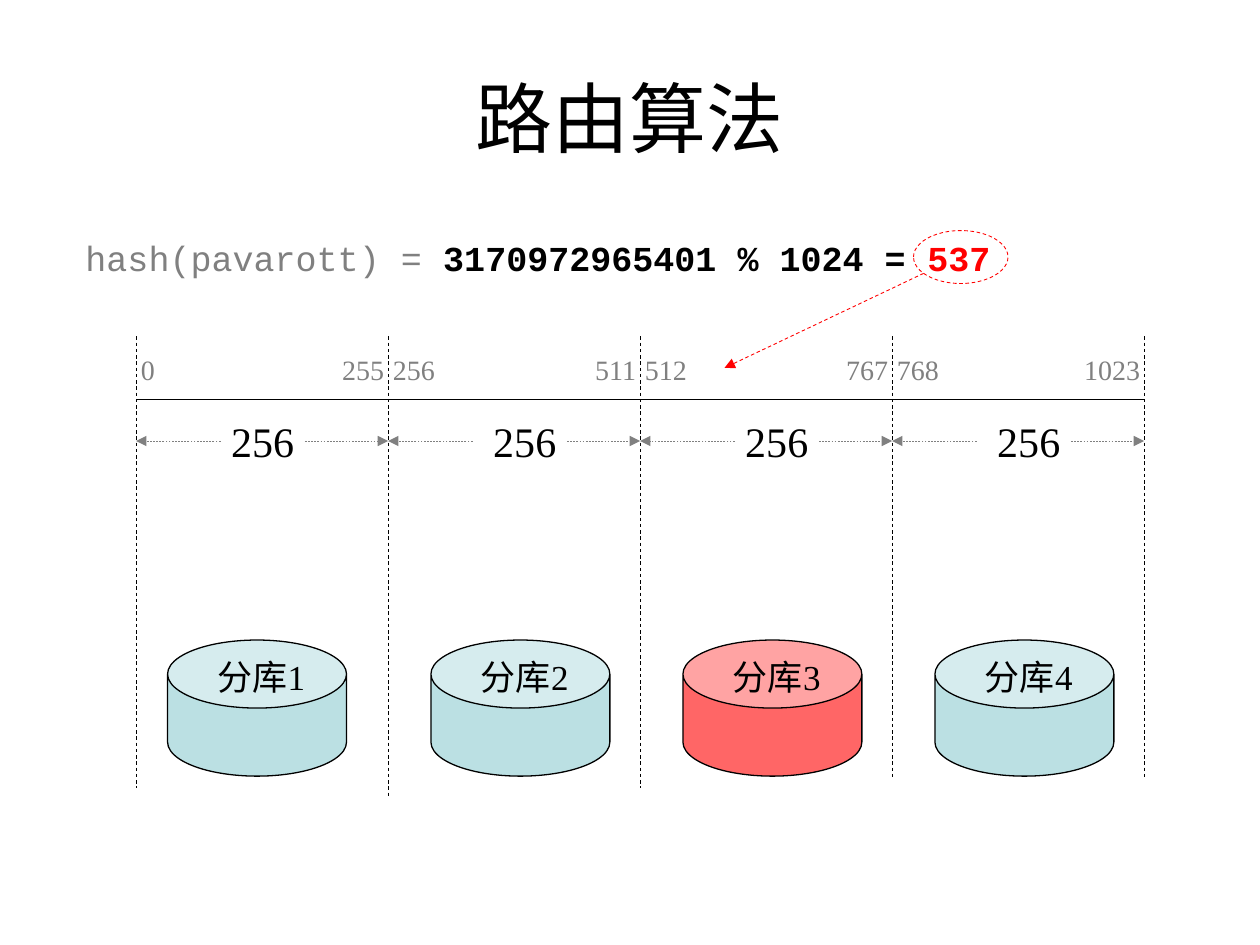
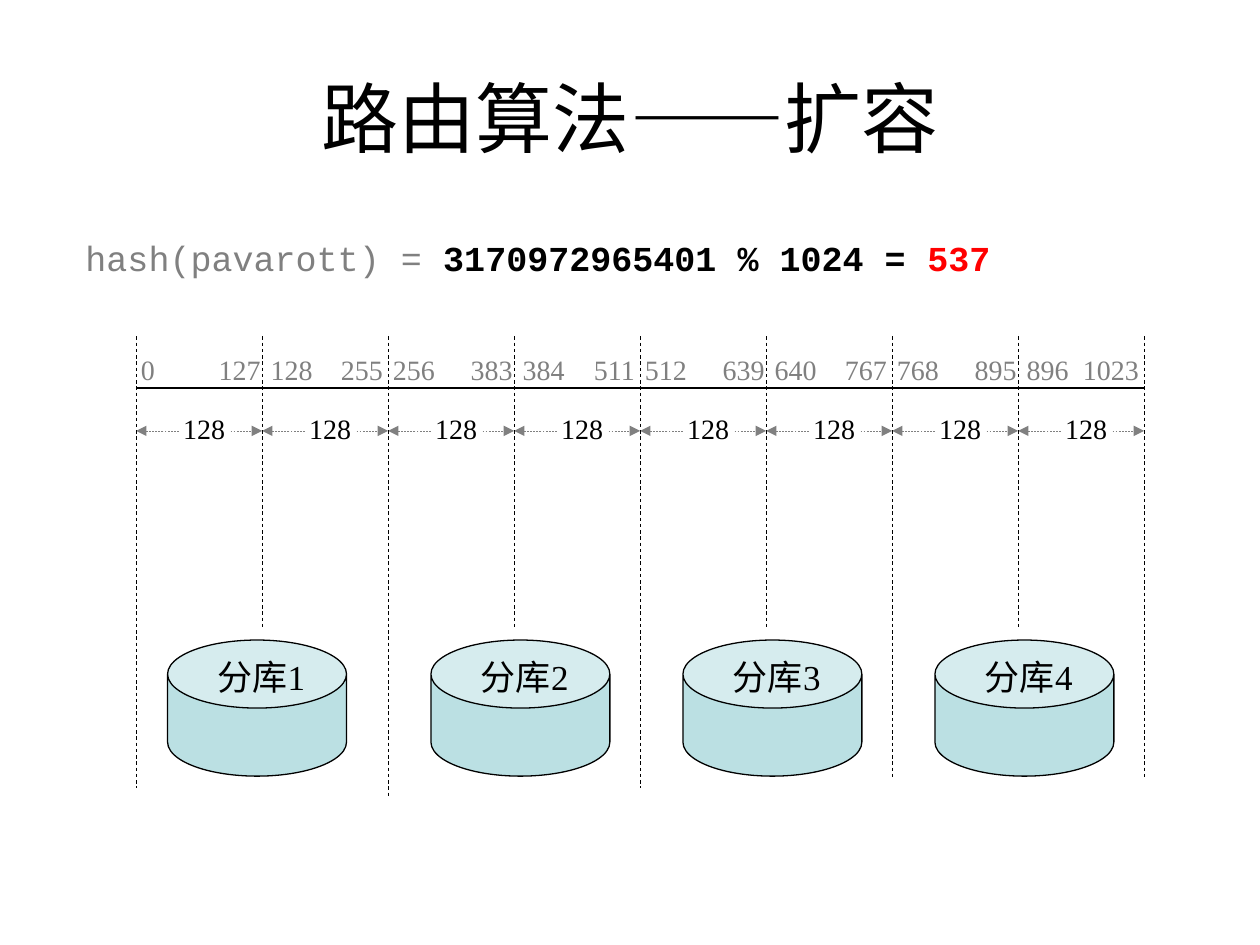
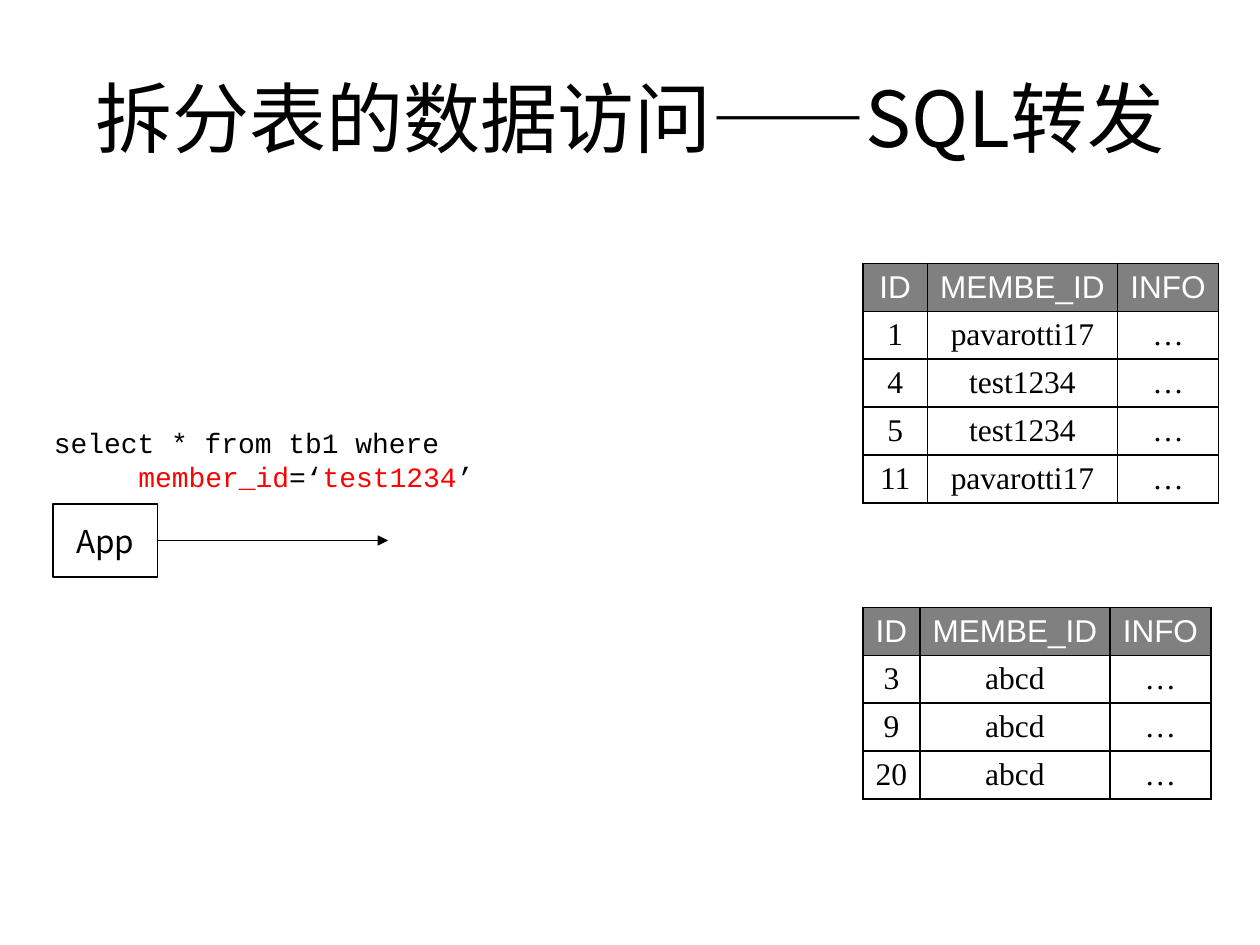
from pptx import Presentation
from pptx.dml.color import RGBColor
from pptx.enum import dml, shapes, text
from pptx.oxml import ns, xmlchemy
from pptx.util import Inches, Pt

COLORS = {"ink": "000000", "muted": "808080", "accent": "FF0000",
          "database": "BBE0E3", "paper": "FFFFFF"}
SERIF, SANS, MONO, CJK = "Times New Roman", "Arial", "Courier New", "Noto Sans CJK SC"
LEFT, CENTER = text.PP_ALIGN.LEFT, text.PP_ALIGN.CENTER
GROW, FIXED = text.MSO_AUTO_SIZE.SHAPE_TO_FIT_TEXT, text.MSO_AUTO_SIZE.NONE


def write(frame, *paragraphs, size=16, font=SERIF, color="ink", align=CENTER,
          fit=GROW, wrap=True, tabs=()):
    """Fill a frame; a paragraph is a string or a list of (text, overrides)."""
    frame.word_wrap = wrap
    if fit is not None:
        frame.auto_size = fit
    for index, content in enumerate(paragraphs):
        paragraph = frame.add_paragraph() if index else frame.paragraphs[0]
        paragraph.alignment = align
        if tabs:
            stops = xmlchemy.OxmlElement("a:tabLst")
            for position, side in tabs:
                stop = xmlchemy.OxmlElement("a:tab")
                stop.set("pos", str(Inches(position)))
                stop.set("algn", side)
                stops.append(stop)
            paragraph._p.get_or_add_pPr().append(stops)
        for words, style in [(content, {})] if isinstance(content, str) else content:
            run = paragraph.add_run()
            run.text = words
            run.font.size = Pt(size)
            run.font.name = style.get("font", font)
            run.font.bold = style.get("bold", False)
            run.font.color.rgb = RGBColor.from_string(COLORS[style.get("color", color)])
            east_asian = xmlchemy.OxmlElement("a:ea")
            east_asian.set("typeface", CJK)
            run.font._element.append(east_asian)


def draw_line(slide, x1, y1, x2, y2, color="ink", width=0.75, dashed=False, arrow=False):
    line = slide.shapes.add_connector(shapes.MSO_CONNECTOR.STRAIGHT,
                                      Inches(x1), Inches(y1), Inches(x2), Inches(y2))
    line.line.color.rgb = RGBColor.from_string(COLORS[color])
    line.line.width = Pt(width)
    if dashed:
        line.line.dash_style = dml.MSO_LINE.DASH
    if arrow:
        head = xmlchemy.OxmlElement("a:tailEnd")
        head.set("type", "triangle")
        line.line._get_or_add_ln().append(head)
    line._element.spPr.append(xmlchemy.OxmlElement("a:effectLst"))
    return line


prs = Presentation()
prs.slide_width, prs.slide_height = Inches(10), Inches(7.5)

# Titles
titles = [
    [("路由算法", {})],
    [("路由算法", {}), ("——", {"font": CJK}), ("扩容", {})],
    [("拆分表的数据访问——SQL转发", {"font": CJK})],
]
slides = []
for title in titles:
    slide = prs.slides.add_slide(prs.slide_layouts[5])
    heading = slide.shapes.title
    heading.left, heading.top = Inches(0.5), Inches(0.3)
    heading.width, heading.height = Inches(9), Inches(1.25)
    heading.text_frame.vertical_anchor = text.MSO_ANCHOR.MIDDLE
    write(heading.text_frame, title, size=44, font=SANS, fit=FIXED)
    slides.append(slide)
routing, expansion, forwarding = slides

# Hash ranges and their databases
AXIS_LEFT, SHARD_WIDTH, SHARDS, SLOTS = 1.08, 2, 4, 1024
database_lefts = [1.33, 3.42, 5.42, 7.42]
border_bottoms = [6.25, 6.33, 6.25, 6.17, 6.17]
routing_spans = [(1.67, 1.75), (3.75, 3.75), (5.75, 5.83), (7.75, 7.75)]
expansion_spans = [(1.33 + i, 1.42 + i) for i in range(8)]
# slide, axis top, arrow top, (label left, arrow start), label top, width, height, size,
# distance to right arrow, tab stops
diagrams = [
    (routing, 3.17, 3.5, routing_spans, 3.25, 0.83, 0.5, 24, 0.75, [(1.93, "r")]),
    (expansion, 3.08, 3.42, expansion_spans, 3.22, 0.58, 0.37, 16, 0.5,
     [(0.95, "r"), (1.03, "l"), (1.92, "r")]),
]
for (slide, axis_top, arrow_top, spans, label_top, label_width, label_height,
     label_size, right_offset, tabs) in diagrams:
    formula = slide.shapes.add_textbox(Inches(0.58), Inches(1.83), Inches(7.75), Inches(0.43))
    write(formula.text_frame,
          [("hash(pavarott) = ", {"color": "muted"}),
           ("3170972965401 % 1024 = ", {"bold": True}),
           ("537", {"bold": True, "color": "accent"})],
          size=20, font=MONO, align=LEFT)
    draw_line(slide, AXIS_LEFT, axis_top, AXIS_LEFT + SHARDS * SHARD_WIDTH, axis_top)

    slots = SLOTS // len(spans)
    per_shard = len(spans) // SHARDS
    for shard in range(SHARDS):
        firsts = [(shard * per_shard + part) * slots for part in range(per_shard)]
        limits = slide.shapes.add_textbox(Inches(1.02 + shard * SHARD_WIDTH), Inches(2.75),
                                          Inches(2.17), Inches(0.37))
        write(limits.text_frame, "\t".join(f"{first}\t{first + slots - 1}" for first in firsts),
              color="muted", align=LEFT, tabs=tabs)

    span_width = SHARD_WIDTH / per_shard
    for index, (label_left, arrow_start) in enumerate(spans):
        span_left = AXIS_LEFT + index * span_width
        count = slide.shapes.add_textbox(Inches(label_left), Inches(label_top),
                                         Inches(label_width), Inches(label_height))
        write(count.text_frame, str(slots), size=label_size)
        for start, end in [(arrow_start, span_left),
                           (label_left + right_offset, span_left + span_width)]:
            draw_line(slide, start, arrow_top, end, arrow_top, "muted", 0.25, True, True)
        if index % per_shard:
            draw_line(slide, span_left, 2.67, span_left, 5, width=0.5, dashed=True)

    for number, left in enumerate(database_lefts, start=1):
        database = slide.shapes.add_shape(shapes.MSO_SHAPE.CAN, Inches(left), Inches(5.08),
                                          Inches(1.42), Inches(1.08))
        database.adjustments[0] = 0.5
        database.shadow.inherit = False
        chosen = slide is routing and number == 3
        database.fill.solid()
        database.fill.fore_color.rgb = RGBColor.from_string(
            COLORS["accent" if chosen else "database"])
        if chosen:
            alpha = xmlchemy.OxmlElement("a:alpha")
            alpha.set("val", "60000")
            database._element.spPr.find(ns.qn("a:solidFill"))[0].append(alpha)
        database.line.color.rgb = RGBColor.from_string(COLORS["ink"])
        database.line.width = Pt(0.75)
        name = slide.shapes.add_textbox(Inches(left - 0.17), Inches(5.15),
                                        Inches(1.83), Inches(0.43))
        write(name.text_frame, f"分库{number}", size=20)

    for index, bottom in enumerate(border_bottoms):
        border = AXIS_LEFT + index * SHARD_WIDTH
        draw_line(slide, border, 2.67, border, bottom, width=0.5, dashed=True)

# Hash result pointing at its range
result_ring = routing.shapes.add_shape(shapes.MSO_SHAPE.OVAL, Inches(7.25), Inches(1.83),
                                       Inches(0.75), Inches(0.42))
result_ring.shadow.inherit = False
result_ring.fill.background()
result_ring.line.color.rgb = RGBColor.from_string(COLORS["accent"])
result_ring.line.width = Pt(0.5)
result_ring.line.dash_style = dml.MSO_LINE.DASH
draw_line(routing, 7.33, 2.17, 5.75, 2.92, "accent", 0.5, True, True)

# Split tables
header = ("ID", "MEMBE_ID", "INFO")
split_tables = [
    (2.09, 0.51, [("1", "pavarotti17"), ("4", "test1234"), ("5", "test1234"),
                  ("11", "pavarotti17")]),
    (4.82, 0.45, [("3", "abcd"), ("9", "abcd"), ("20", "abcd")]),
]
ROW_HEIGHT = 0.38
for top, id_width, records in split_tables:
    rows = [header] + [(*record, "…") for record in records]
    widths = [id_width, 1.51, 0.8]
    table = forwarding.shapes.add_table(len(rows), len(header), Inches(6.85), Inches(top),
                                        Inches(sum(widths)),
                                        Inches(ROW_HEIGHT * len(rows))).table
    table.first_row = table.horz_banding = False
    for column, width in zip(table.columns, widths):
        column.width = Inches(width)
    for r, row in enumerate(rows):
        for c, value in enumerate(row):
            cell = table.cell(r, c)
            cell.vertical_anchor = text.MSO_ANCHOR.MIDDLE
            for side in ("a:lnL", "a:lnR", "a:lnT", "a:lnB"):
                edge = xmlchemy.OxmlElement(side)
                edge.set("w", str(Pt(1)))
                paint = xmlchemy.OxmlElement("a:solidFill")
                tint = xmlchemy.OxmlElement("a:srgbClr")
                tint.set("val", COLORS["ink"])
                paint.append(tint)
                edge.append(paint)
                cell._tc.get_or_add_tcPr().append(edge)
            cell.fill.solid()
            cell.fill.fore_color.rgb = RGBColor.from_string(COLORS["paper" if r else "muted"])
            write(cell.text_frame, value, size=18, font=SERIF if r else SANS,
                  color="ink" if r else "paper", fit=None)

# Application and its query
app = forwarding.shapes.add_shape(shapes.MSO_SHAPE.RECTANGLE, Inches(0.42), Inches(4),
                                  Inches(0.83), Inches(0.58))
app.shadow.inherit = False
app.fill.background()
app.line.color.rgb = RGBColor.from_string(COLORS["ink"])
app.line.width = Pt(0.75)
app.text_frame.vertical_anchor = text.MSO_ANCHOR.MIDDLE
write(app.text_frame, "App", size=18, font=CJK, fit=FIXED, wrap=False)
request = draw_line(forwarding, 1.25, 4.29, 3.08, 4.29, arrow=True)
request.begin_connect(app, 3)

query = forwarding.shapes.add_textbox(Inches(0.33), Inches(3.33), Inches(3.83), Inches(0.64))
write(query.text_frame, "select * from tb1 where",
      [("member_id", {"color": "accent"}), ("=‘", {}),
       ("test1234", {"color": "accent"}), ("’", {})],
      font=MONO, align=LEFT)
condition = query.text_frame.paragraphs[1]
condition._p.get_or_add_pPr().set("marL", str(Inches(0.67)))

prs.save("out.pptx")
